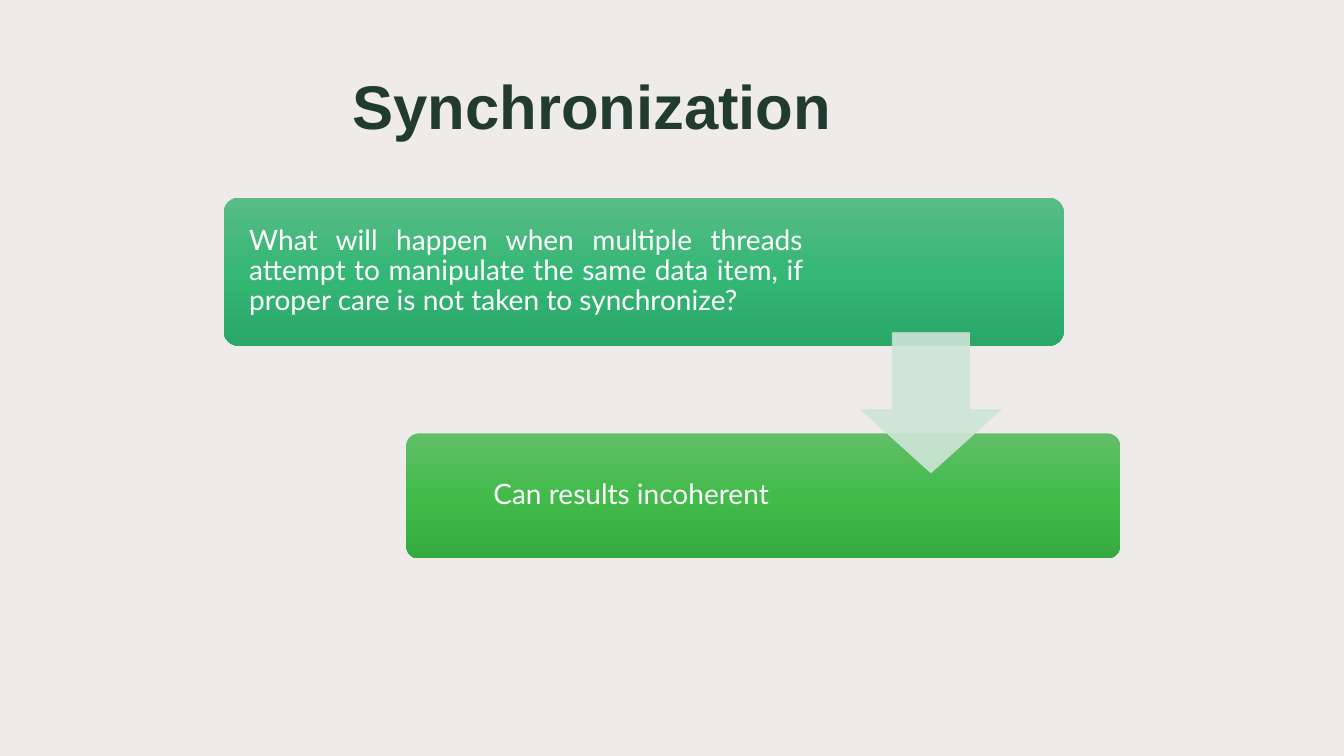
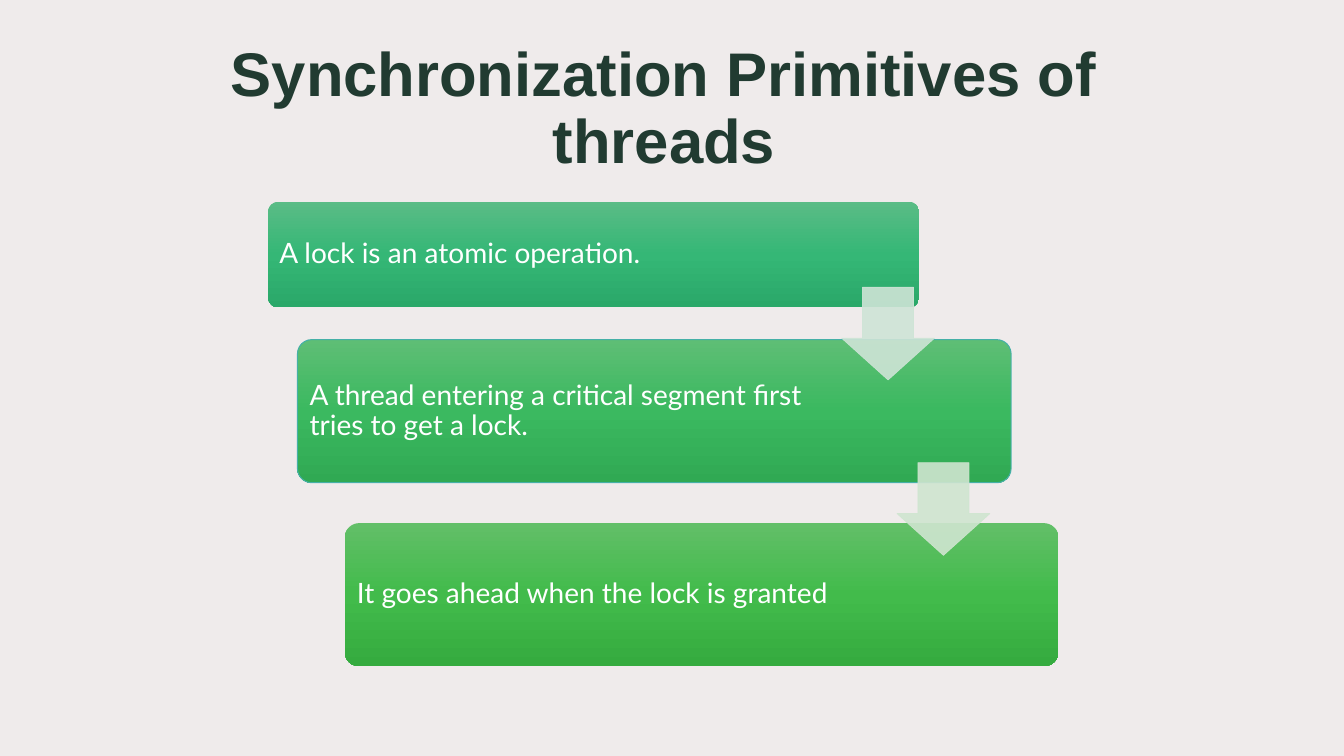
from dataclasses import dataclass

from lxml.etree import SubElement
from pptx import Presentation
from pptx.dml.color import RGBColor
from pptx.enum.shapes import MSO_SHAPE as Geom
from pptx.enum.text import MSO_ANCHOR as Anchor, PP_ALIGN as Align
from pptx.oxml.ns import qn
from pptx.util import Inches, Pt

WIDE, HIGH = Inches(13.33), Inches(7.5)


@dataclass(frozen=True)
class Theme:
    back: str = "EFEBEB"
    ink: str = "213B31"
    pale: str = "FFFFFF"
    rim: str = "45B0A7"
    jade: tuple = ("5ABC86", "35B776", "2AA869")
    leaf: tuple = ("5EBE75", "3BB960", "30A953")
    lime: tuple = ("62BF68", "42BB4B", "35AB3F")
    mint: str = "CEE4D6"
    sage: str = "CFE5D0"
    head: str = "Arial"
    body: str = "Lato"
    big: int = 44
    mid: int = 20
    lead: float = 0.9
    inset: float = 0.08
    round: float = 0.1
    opaque: int = 90


LOOK = Theme()


def rgb(code):
    return RGBColor.from_string(code)


def area(left, top, wide, high):
    """Turn percentages of the slide into lengths."""
    return (int(WIDE * left / 100), int(HIGH * top / 100),
            int(WIDE * wide / 100), int(HIGH * high / 100))


def write(slide, box, text, face, size, color, align, sides, ends, bold=False):
    frame = slide.shapes.add_textbox(*box).text_frame
    frame.word_wrap = True
    frame.vertical_anchor = Anchor.MIDDLE
    frame.margin_left, frame.margin_right = map(Inches, sides)
    frame.margin_top = frame.margin_bottom = Inches(ends)
    line = frame.paragraphs[0]
    line.text = text
    line.alignment = align
    line.line_spacing = LOOK.lead
    font = line.font
    font.name, font.size, font.bold = face, Pt(size), bold
    font.color.rgb = rgb(color)


def title(slide, text, wide):
    write(slide, area(13.95, 3.07, wide, 22.93), text, LOOK.head, LOOK.big,
          LOOK.ink, Align.CENTER, (0.1, 0.1), 0.05, bold=True)


def shade(shape, tones):
    """Fill from top to bottom with evenly spaced tones."""
    shape.fill.gradient()
    shape.fill.gradient_angle = 270
    stops = shape._element.spPr.find(qn("a:gradFill")).find(qn("a:gsLst"))
    for stop in list(stops):
        stops.remove(stop)
    for step, tone in enumerate(tones):
        place = step * 100000 // (len(tones) - 1)
        stop = SubElement(stops, qn("a:gs"), pos=str(place))
        SubElement(stop, qn("a:srgbClr"), val=tone)


def card(slide, box, tones, text, share, align=Align.LEFT,
         sides=(LOOK.inset, LOOK.inset), rim=None):
    """Rounded panel whose text takes a share of its width."""
    left, top, wide, high = area(*box)
    shape = slide.shapes.add_shape(Geom.ROUNDED_RECTANGLE, left, top, wide, high)
    shape.shadow.inherit = False
    shape.adjustments[0] = LOOK.round
    shade(shape, tones)
    if rim:
        shape.line.color.rgb = rgb(rim)
        shape.line.width = Pt(0.75)
    else:
        shape.line.fill.background()
    pad = int(high * LOOK.round * 0.29)
    inner = left + pad, top + pad, int(wide * share), high - 2 * pad
    write(slide, inner, text, LOOK.body, LOOK.mid, LOOK.pale, align,
          sides, LOOK.inset)


def arrow(slide, left, top, side, color):
    """Square down arrow; side is a percentage of the slide width."""
    x, y, size, _ = area(left, top, side, 0)
    shape = slide.shapes.add_shape(Geom.DOWN_ARROW, x, y, size, size)
    shape.shadow.inherit = False
    shape.adjustments[0], shape.adjustments[1] = 0.55, 0.45
    shape.fill.solid()
    shape.fill.fore_color.rgb = rgb(color)
    shape.line.color.rgb = rgb(color)
    shape.line.width = Pt(0.5)
    for tint in shape._element.spPr.iter(qn("a:srgbClr")):
        SubElement(tint, qn("a:alpha"), val=str(LOOK.opaque * 1000))


def threats(slide):
    title(slide, "Synchronization", 60.24)
    card(slide, (16.65, 26.13, 62.5, 19.6), LOOK.jade,
         "What will happen when multiple threads attempt to manipulate the "
         "same data item, if proper care is not taken to synchronize?",
         0.7, Align.JUSTIFY, (0.21, 0.13))
    card(slide, (30.23, 57.33, 53.1, 16.53), LOOK.lime,
         "Can results incoherent", 0.62, Align.CENTER)
    arrow(slide, 64.05, 44, 10.43, LOOK.mint)


def locks(slide):
    title(slide, "Synchronization Primitives of threads", 70.95)
    card(slide, (19.95, 26.67, 48.45, 14), LOOK.jade,
         "A lock is an atomic operation.", 0.78)
    card(slide, (22.13, 44.93, 53.1, 18.93), LOOK.leaf,
         "A thread entering a critical segment first tries to get a lock.",
         0.77, rim=LOOK.rim)
    card(slide, (25.65, 69.2, 53.1, 18.93), LOOK.lime,
         "It goes ahead when the lock is granted", 0.77)
    arrow(slide, 62.63, 38, 6.9, LOOK.mint)
    arrow(slide, 66.75, 61.2, 6.9, LOOK.sage)


def main():
    deck = Presentation()
    deck.slide_width, deck.slide_height = WIDE, HIGH
    fill = deck.slide_master.background.fill
    fill.solid()
    fill.fore_color.rgb = rgb(LOOK.back)
    for build in (threats, locks):
        build(deck.slides.add_slide(deck.slide_layouts[6]))
    deck.save("out.pptx")


if __name__ == "__main__":
    main()
